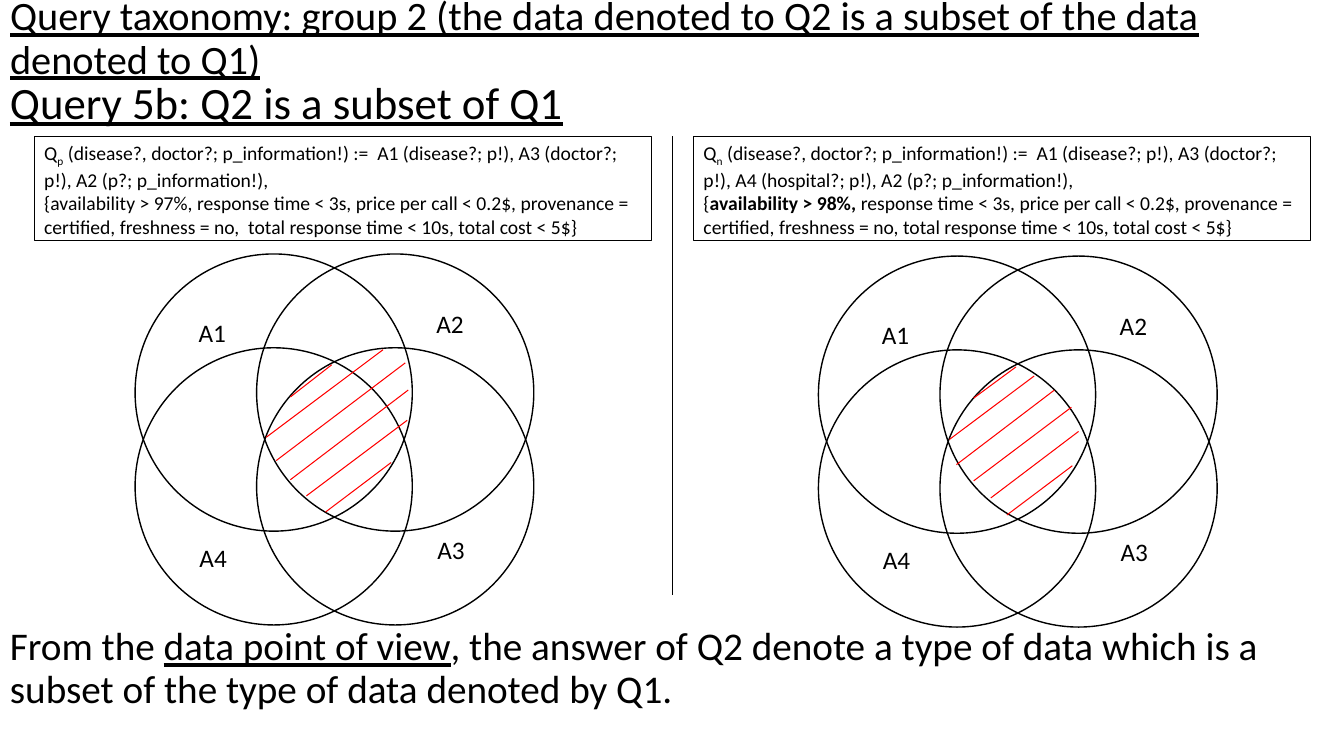
from lxml.etree import SubElement
from pptx import Presentation
from pptx.dml.color import RGBColor
from pptx.enum.shapes import MSO_CONNECTOR, MSO_SHAPE
from pptx.enum.text import MSO_ANCHOR, MSO_AUTO_SIZE, PP_ALIGN
from pptx.oxml.ns import qn
from pptx.util import Pt

INK, HATCH = "000000", "FF0000"
DIAMETER, STEP_X, STEP_Y = 198, 86.8, 67
SET_LABELS = [("A1", 38.2, 41.8), ("A2", 208.1, 35.3), ("A4", 38.9, 202.3), ("A3", 208.8, 196.6)]

CALL = " (disease?, doctor?; p_information!) :=  A1 (disease?; p!), A3 (doctor?; p!), "
LIMITS = "response time < 3s, price per call < 0.2$, provenance = certified, freshness = no, "
TOTALS = "total response time < 10s, total cost < 5$}"

QUERIES = [
    dict(
        box_left=24.5, venn=(96.5, 181.4),
        definition=[
            [("Q", ""), ("p", "sub"), (CALL + "A2 (p?; p_information!),", "")],
            [("{availability > 97%, " + LIMITS + " " + TOTALS, "")],
        ],
        hatches=[
            (100.8, 147.6, 193, 77.8), (110.9, 161.3, 195.1, 97.2), (122.4, 172.8, 194.4, 118.8),
            (136.1, 184.3, 182.9, 149), (93.6, 131, 177.1, 68.4), (110.9, 102.2, 140.4, 79.2),
        ],
    ),
    dict(
        box_left=495.4, venn=(584.6, 182.9),
        definition=[
            [("Q", ""), ("n", "sub"), (CALL + "A4 (hospital?; p!), A2 (p?; p_information!),", "")],
            [("{", ""), ("availability > 98%, ", "bold"), (LIMITS + TOTALS, "")],
        ],
        hatches=[
            (98.6, 149, 168.5, 95.8), (110.9, 160.6, 180.7, 108), (123.1, 172.8, 185.8, 125.3),
            (134.6, 185, 181.4, 149.8), (93.6, 131, 154.1, 85.7), (110.9, 101.5, 141.1, 79.2),
        ],
    ),
]


def color(hex_code):
    return RGBColor.from_string(hex_code)


class Sketch:
    """Draws styled elements on one slide, with lengths in points."""

    def __init__(self, slide, font="Calibri"):
        self.slide = slide
        self.font = font

    def fill_text(self, frame, paragraphs, size, spacing=None, anchor=MSO_ANCHOR.TOP):
        frame.vertical_anchor = anchor
        for index, runs in enumerate(paragraphs):
            paragraph = frame.add_paragraph() if index else frame.paragraphs[0]
            paragraph.alignment = PP_ALIGN.LEFT
            if spacing:
                paragraph.line_spacing = spacing
            for words, style in runs:
                run = paragraph.add_run()
                run.text = words
                run.font.name = self.font
                run.font.size = Pt(size)
                run.font.color.rgb = color(INK)
                if style == "bold":
                    run.font.bold = True
                elif style == "underline":
                    run.font.underline = True
                elif style == "sub":
                    run._r.get_or_add_rPr().set("baseline", "-25000")

    def title(self, left, top, width, height, words, size):
        heading = self.slide.shapes.title
        heading.left, heading.top = Pt(left), Pt(top)
        heading.width, heading.height = Pt(width), Pt(height)
        heading.text_frame.auto_size = MSO_AUTO_SIZE.NONE
        self.fill_text(heading.text_frame, [[(words, "underline")]], size, 0.9, MSO_ANCHOR.MIDDLE)

    def text(self, left, top, width, height, runs, size, spacing=None,
             anchor=MSO_ANCHOR.TOP, wrap=True):
        frame = self.slide.shapes.add_textbox(Pt(left), Pt(top), Pt(width), Pt(height)).text_frame
        frame.word_wrap = wrap
        self.fill_text(frame, [runs], size, spacing, anchor)

    def outline(self, kind, left, top, width, height, weight):
        shape = self.slide.shapes.add_shape(kind, Pt(left), Pt(top), Pt(width), Pt(height))
        shape.shadow.inherit = False
        shape.fill.background()
        shape.line.color.rgb = color(INK)
        shape.line.width = Pt(weight)
        return shape

    def box(self, left, top, width, height, paragraphs, size):
        frame = self.outline(MSO_SHAPE.RECTANGLE, left, top, width, height, 0.75).text_frame
        frame.word_wrap = True
        frame.auto_size = MSO_AUTO_SIZE.SHAPE_TO_FIT_TEXT
        self.fill_text(frame, paragraphs, size)

    def line(self, x1, y1, x2, y2, hex_code, weight):
        stroke = self.slide.shapes.add_connector(
            MSO_CONNECTOR.STRAIGHT, Pt(x1), Pt(y1), Pt(x2), Pt(y2))
        stroke.line.color.rgb = color(hex_code)
        stroke.line.width = Pt(weight)
        SubElement(stroke._element.spPr, qn("a:effectLst"))

    def venn(self, left, top, hatches):
        for column, row in [(0, 0), (1, 0), (1, 1), (0, 1)]:
            self.outline(MSO_SHAPE.OVAL, left + column * STEP_X, top + row * STEP_Y,
                         DIAMETER, DIAMETER, 1)
        for x1, y1, x2, y2 in hatches:
            self.line(left + x1, top + y1, left + x2, top + y2, HATCH, 0.75)
        for label, x, y in SET_LABELS:
            self.text(left + x, top + y, 34.6, 28.8, [(label, "")], 18, wrap=False)


def main():
    deck = Presentation()
    deck.slide_width, deck.slide_height = Pt(960), Pt(540)
    sketch = Sketch(deck.slides.add_slide(deck.slide_layouts[5]))
    sketch.title(0, 0, 960, 56.2, "Query taxonomy: group 2 (the data denoted to Q2 "
                 "is a subset of the data denoted to Q1)", 28.8)
    sketch.text(0, 46.8, 960, 56.2, [("Query 5b: Q2 is a subset of Q1", "underline")],
                32, 0.9, MSO_ANCHOR.MIDDLE)
    sketch.line(480, 97.2, 480, 424.8, INK, 0.5)
    for query in QUERIES:
        sketch.box(query["box_left"], 97.2, 440.6, 74.9, query["definition"], 14)
        sketch.venn(*query["venn"], query["hatches"])
    sketch.text(0, 444.2, 960, 78.5, [
        ("From the ", ""), ("data point of view", "underline"),
        (", the answer of Q2 denote a type of data which is a subset "
         "of the type of data denoted by Q1.", ""),
    ], 28, 0.9)
    deck.save("out.pptx")


if __name__ == "__main__":
    main()
